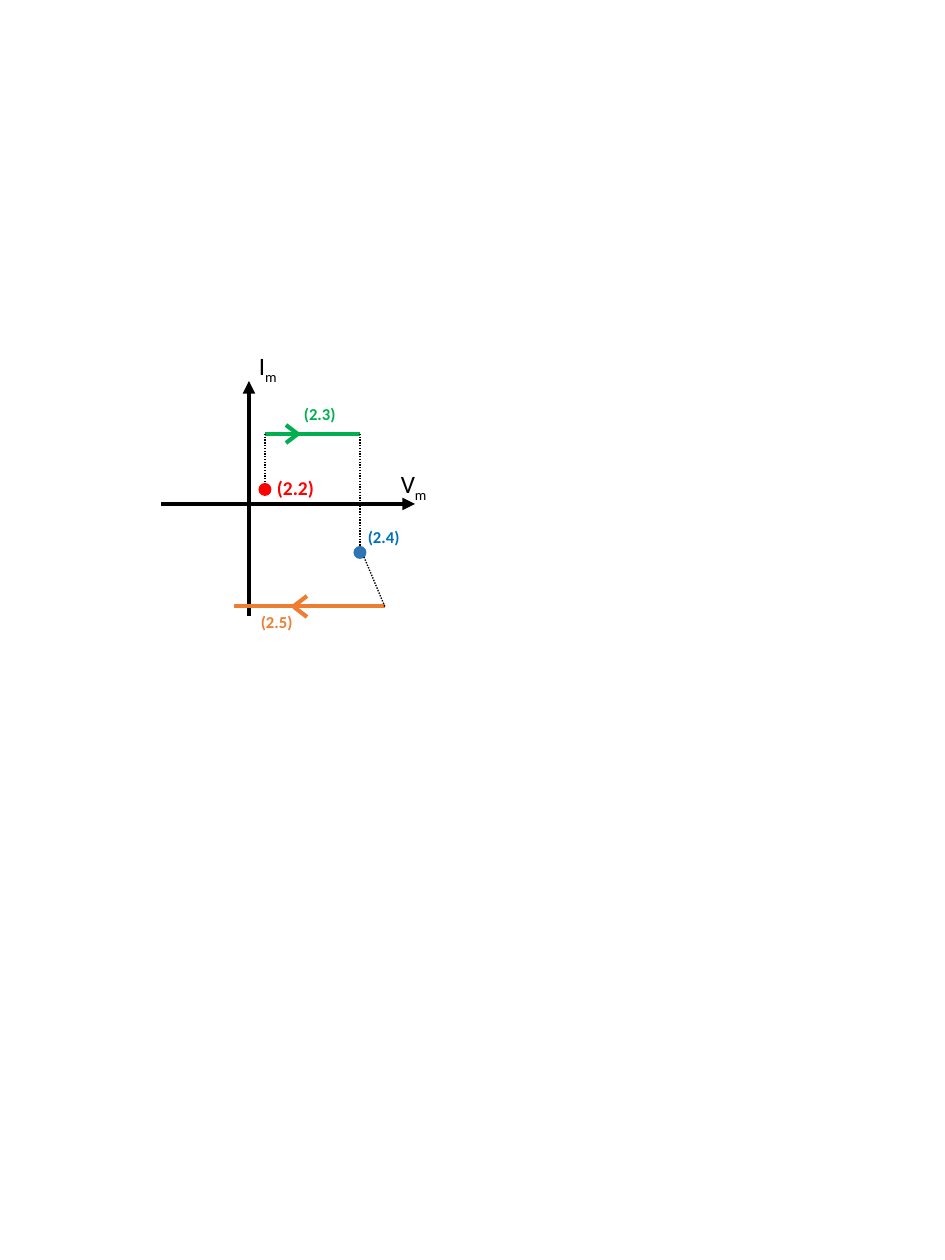
import pptx
import pptx.util
import pptx.dml.color
import pptx.enum.dml
import pptx.enum.shapes
import pptx.enum.text
import pptx.oxml
import pptx.oxml.ns
from dataclasses import dataclass

PX = 9144  # EMU per px, at 100 px to the inch


@dataclass(frozen=True)
class Theme:
    font: str = "Calibri"
    axis: str = "000000"
    rest: str = "FF0000"
    outward: str = "00B050"
    reversal: str = "2E75B6"
    reversal_text: str = "0070C0"
    inward: str = "ED7D31"
    axis_size: int = 18
    rest_size: int = 14
    step_size: int = 12
    thick: int = 3
    thin: int = 1


THEME = Theme()


def px(length):
    return pptx.util.Emu(length * PX)


def rgb(colour):
    return pptx.dml.color.RGBColor.from_string(colour)


def add_xml(parent, tag, **attributes):
    child = pptx.oxml.parse_xml(f"<a:{tag} {pptx.oxml.ns.nsdecls('a')}/>")
    for name, value in attributes.items():
        child.set(name, value)
    parent.append(child)


def add_line(page, box, start, end, colour, width=THEME.thick, arrow=False, dotted=False):
    left, top = box
    line = page.shapes.add_connector(
        pptx.enum.shapes.MSO_CONNECTOR.STRAIGHT,
        px(left + start[0]), px(top + start[1]), px(left + end[0]), px(top + end[1]))
    line.line.color.rgb = rgb(colour)
    line.line.width = pptx.util.Pt(width)
    if dotted:
        line.line.dash_style = pptx.enum.dml.MSO_LINE.ROUND_DOT
    if arrow:
        add_xml(line.line._get_or_add_ln(), "tailEnd", type="triangle")
    add_xml(line._element.spPr, "effectLst")
    return line


def add_dot(page, box, centre_x, top, colour, size=13):
    dot = page.shapes.add_shape(
        pptx.enum.shapes.MSO_SHAPE.OVAL,
        px(box[0] + centre_x) - px(size) // 2, px(box[1] + top), px(size), px(size))
    dot.shadow.inherit = False
    dot.fill.solid()
    dot.fill.fore_color.rgb = rgb(colour)
    dot.line.fill.background()
    return dot


def add_label(page, box, place, text, size, colour, bold=False, subscript=""):
    left, top, width, height = place
    label = page.shapes.add_textbox(px(box[0] + left), px(box[1] + top), px(width), px(height))
    frame = label.text_frame
    frame.word_wrap = False
    frame.auto_size = pptx.enum.text.MSO_AUTO_SIZE.SHAPE_TO_FIT_TEXT
    para = frame.paragraphs[0]
    for words in filter(None, (text, subscript)):
        span = para.add_run()
        span.text = words
        span.font.name = THEME.font
        span.font.size = pptx.util.Pt(size)
        span.font.bold = bold
        span.font.color.rgb = rgb(colour)
    if subscript:
        span.font._element.set("baseline", "-25000")


def draw_axes(page, box):
    add_line(page, box, (0, 158), (254, 158), THEME.axis, arrow=True)
    add_line(page, box, (88, 270), (88, 35), THEME.axis, arrow=True)
    for name, place in (("I", (88, 0, 40, 40)), ("V", (230, 118, 47, 40))):
        add_label(page, box, place, name, THEME.axis_size, THEME.axis, subscript="m")


def draw_cycle(page, box):
    # Resting point and reversal point
    rest_dot = add_dot(page, box, 104, 137, THEME.rest)
    reversal_dot = add_dot(page, box, 199, 200, THEME.reversal)

    # Outward and inward steps, each with an open arrowhead
    steps = (
        (THEME.outward, ((104, 88), (199, 88)), ((125, 79), (138, 89)), ((125, 97), (138, 87))),
        (THEME.inward, ((73, 260), (224, 260)), ((146, 250), (133, 260)), ((146, 271), (133, 261))),
    )
    for colour, *strokes in steps:
        for start, end in strokes:
            add_line(page, box, start, end, colour)

    # Dotted jumps between the steps
    jumps = (
        ((104, 88), (104, 137), rest_dot),
        ((199, 88), (199, 200), reversal_dot),
        ((203, 211), (224, 261), None),
    )
    for start, end, dot in jumps:
        jump = add_line(page, box, start, end, THEME.axis, THEME.thin, dotted=True)
        if dot is not None:
            jump.end_connect(dot, 0)

    # Equation numbers
    add_label(page, box, (106, 125, 58, 34), "(2.2)", THEME.rest_size, THEME.rest, bold=True)
    for text, left, top, colour in (
        ("(2.3)", 133, 53, THEME.outward),
        ("(2.4)", 197, 176, THEME.reversal_text),
        ("(2.5)", 90, 261, THEME.inward),
    ):
        add_label(page, box, (left, top, 52, 30), text, THEME.step_size, colour, bold=True)


def main():
    deck = pptx.Presentation()
    deck.slide_width, deck.slide_height = px(945), px(1260)
    page = deck.slides.add_slide(deck.slide_layouts[6])
    plot_box = (161, 346)
    draw_axes(page, plot_box)
    draw_cycle(page, plot_box)
    deck.save("out.pptx")


if __name__ == "__main__":
    main()
